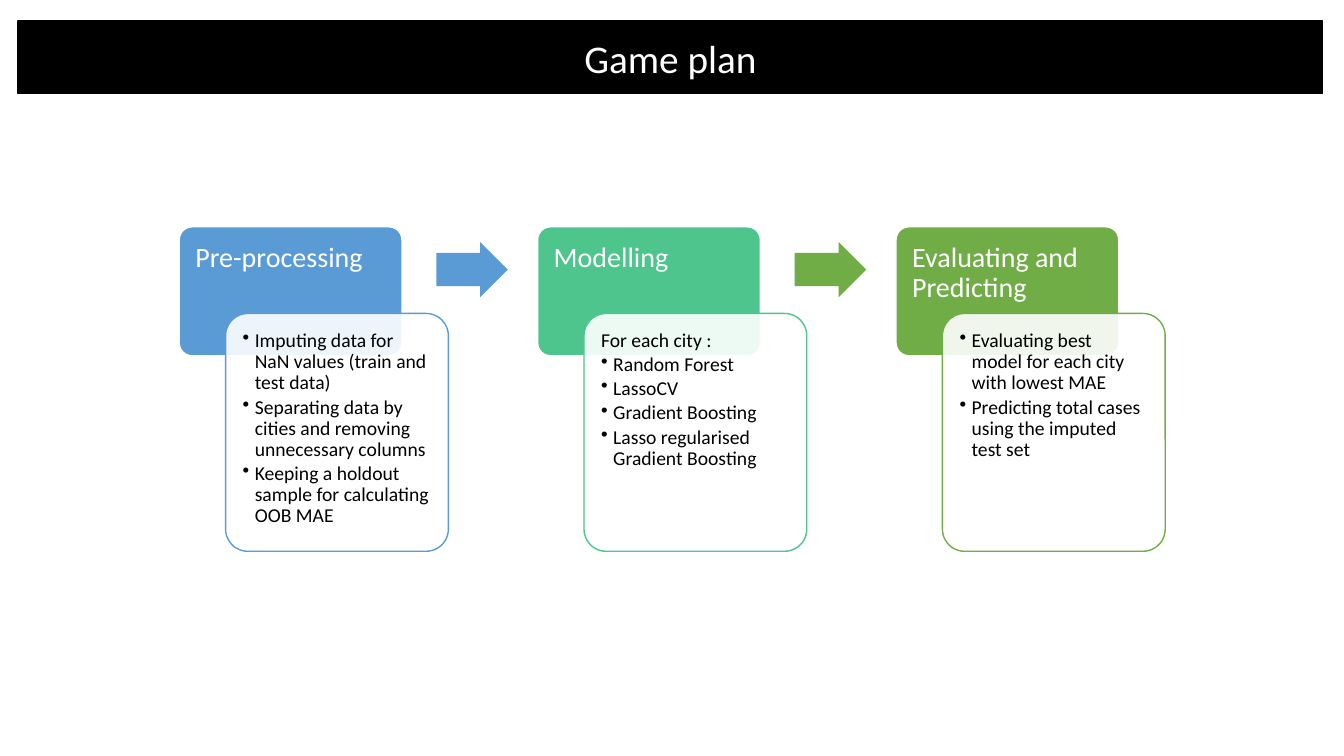
"""Builds the game plan slide: a title bar over three linked stages."""
from lxml.etree import SubElement as Sub
from pptx import Presentation
from pptx.dml.color import RGBColor as Rgb
from pptx.enum.shapes import MSO_SHAPE as Kind
from pptx.enum.text import MSO_ANCHOR as Anchor, PP_ALIGN as Align
from pptx.oxml.ns import qn
from pptx.util import Inches, Pt

WIDE, HIGH = 13.33, 7.5
STEP = WIDE * 4 / 15
LEFT = STEP / 2
HUES = {"black": "000000", "white": "FFFFFF", "blue": "5B9BD5",
        "mint": "4DC58D", "green": "70AD47"}
STAGES = [
    ("Pre-processing", "blue", "blue", "",
     ["Imputing data for NaN values (train and test data)",
      "Separating data by cities and removing unnecessary columns",
      "Keeping a holdout sample for calculating OOB MAE"]),
    ("Modelling", "mint", "green", "For each city :",
     ["Random Forest", "LassoCV", "Gradient Boosting",
      "Lasso regularised Gradient Boosting"]),
    ("Evaluating and Predicting", "green", None, "",
     ["Evaluating best model for each city with lowest MAE",
      "Predicting total cases using the imputed test set"]),
]


def draw(home, kind, box, fill, line=None, adj=()):
    shape = home.add_shape(kind, *map(Inches, box))
    shape.shadow.inherit = False
    shape.fill.solid()
    shape.fill.fore_color.rgb = Rgb.from_string(HUES[fill])
    if line:
        shape.line.color.rgb = Rgb.from_string(HUES[line])
        shape.line.width = Pt(1)
    else:
        shape.line.fill.background()
    for i, share in enumerate(adj):
        shape.adjustments[i] = share
    return shape


def write(shape, lines, size, hue, pad=(0.1, 0.05, 0.1, 0.05), gap=0,
          lead=1, align=Align.LEFT, anchor=Anchor.TOP, level=0, plain=0):
    frame = shape.text_frame
    frame.word_wrap = True
    frame.vertical_anchor = anchor
    (frame.margin_left, frame.margin_top,
     frame.margin_right, frame.margin_bottom) = map(Inches, pad)
    for i, line in enumerate(lines):
        para = frame.add_paragraph() if i else frame.paragraphs[0]
        para.alignment, para.line_spacing = align, lead
        para.space_after = Pt(size * gap)
        para.level = level
        run = para.add_run()
        run.text = line
        run.font.name, run.font.size = "Calibri", Pt(size)
        run.font.color.rgb = Rgb.from_string(HUES[hue])
        if level:
            props = para._p.get_or_add_pPr()
            props.set("marL", str(Inches(0.12)))
            props.set("indent", str(Inches(-0.12)))
            if i < plain:
                Sub(props, qn("a:buNone"))
            else:
                Sub(props, qn("a:buChar"), char="•")


deck = Presentation()
deck.slide_width, deck.slide_height = Inches(WIDE), Inches(HIGH)
slide = deck.slides.add_slide(deck.slide_layouts[6])

bar = draw(slide.shapes, Kind.RECTANGLE, (0.18, 0.21, 12.94, 0.72),
           "black", "black")
write(bar, ["Game plan"], 28, "white", align=Align.CENTER,
      anchor=Anchor.MIDDLE)

flow = slide.shapes.add_group_shape().shapes
for i, (name, hue, next_hue, intro, tasks) in enumerate(STAGES):
    x, y = LEFT + i * STEP, HIGH * 0.3
    draw(flow, Kind.ROUNDED_RECTANGLE, (x, y, 2.21, 1.28), hue, "white",
         [0.1])
    head = flow.add_textbox(*map(Inches, (x, y, 2.21, 0.85)))
    write(head, [name], 20, "white", pad=(0.16, 0.16, 0.16, 0.08),
          gap=0.35, lead=0.9)

    card = draw(flow, Kind.ROUNDED_RECTANGLE,
                (x + 0.46, y + 0.86, 2.21, 2.36), "white", hue, [0.1])
    tint = card.fill._xPr.find(qn("a:solidFill"))[0]
    Sub(tint, qn("a:alpha"), val="90000")
    body = flow.add_textbox(*map(Inches, (x + 0.52, y + 0.92, 2.08, 2.23)))
    lead_in = [intro] if intro else []
    write(body, lead_in + tasks, 14, "black", pad=[0.11] * 4, gap=0.15,
          lead=0.9, level=1, plain=len(lead_in))

    if next_hue:
        draw(flow, Kind.RIGHT_ARROW, (x + 2.55, y + 0.15, 0.71, 0.55),
             next_hue, adj=[0.6, 0.5])

deck.save("out.pptx")
